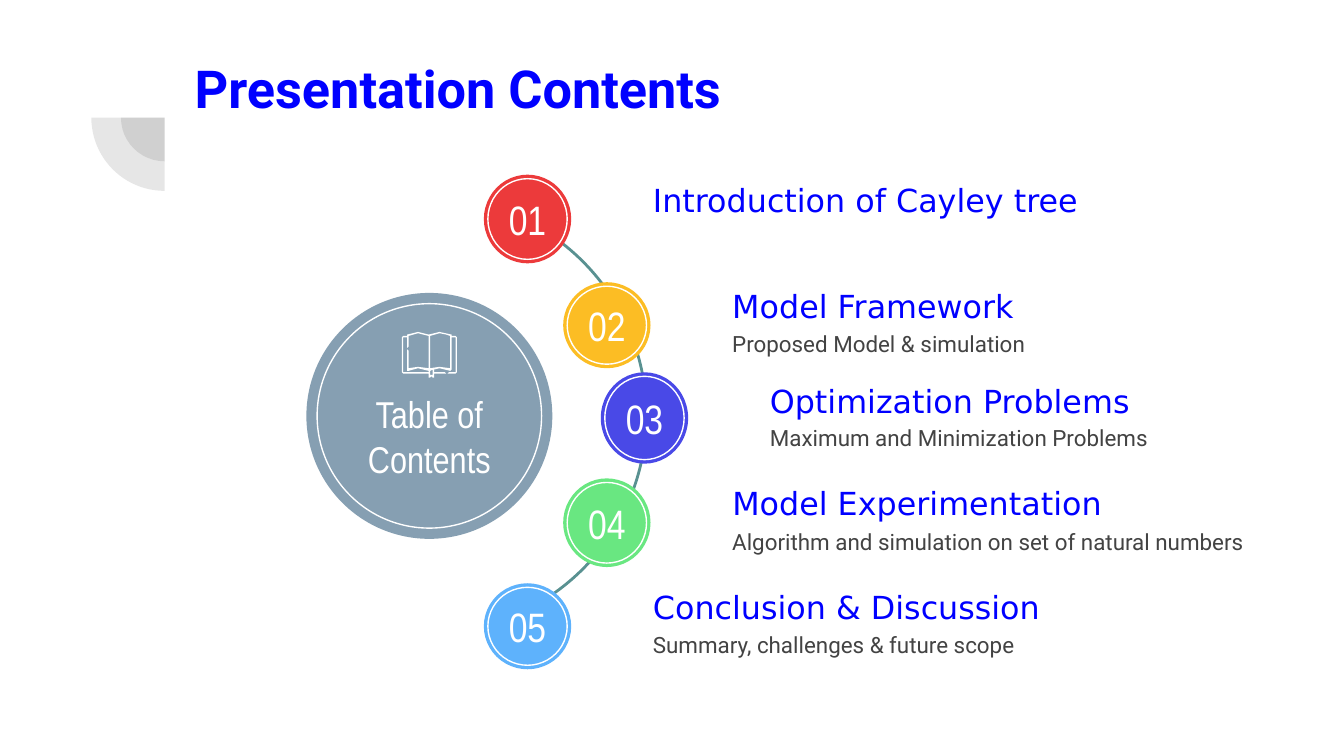
from dataclasses import dataclass
from typing import Optional

from lxml import etree
from pptx import Presentation
from pptx.dml.color import RGBColor
from pptx.enum.shapes import MSO_SHAPE
from pptx.enum.text import MSO_ANCHOR, PP_ALIGN
from pptx.oxml.ns import qn
from pptx.util import Inches, Pt

OVAL, PIE, ARC = MSO_SHAPE.OVAL, MSO_SHAPE.PIE, MSO_SHAPE.ARC
TOP, MIDDLE = MSO_ANCHOR.TOP, MSO_ANCHOR.MIDDLE
LEFT, CENTER = PP_ALIGN.LEFT, PP_ALIGN.CENTER


@dataclass(frozen=True)
class TextStyle:
    font: str
    size: float
    color: str
    bold: bool = False


@dataclass(frozen=True)
class Theme:
    white: str = "FFFFFF"
    hub: str = "869FB2"
    arc: str = "599191"
    corner: str = "424242"
    corner_alpha: int = 13
    ring_line: float = 0.75
    arc_line: float = 1.5
    title: TextStyle = TextStyle("Roboto", 28, "0000FF", True)
    heading: TextStyle = TextStyle("DejaVu Sans", 17, "0000FF")
    detail: TextStyle = TextStyle("Roboto", 12, "434343")
    number: TextStyle = TextStyle("Arial Narrow", 22, "FFFFFF")
    hub_label: TextStyle = TextStyle("Arial Narrow", 20, "FFFFFF")


@dataclass(frozen=True)
class Box:
    left: float
    top: float
    width: float
    height: float

    def inset(self, margin: float) -> "Box":
        return Box(self.left + margin, self.top + margin,
                   self.width - 2 * margin, self.height - 2 * margin)

    def emu(self) -> tuple:
        return tuple(Inches(v) for v in (self.left, self.top, self.width, self.height))


@dataclass(frozen=True)
class Topic:
    number: str
    color: str
    left: float
    top: float
    height: float
    heading: str
    heading_width: float
    detail: Optional[str] = None
    detail_width: float = 0
    heading_drop: float = -0.02


THEME = Theme()
BADGE_WIDTH, BADGE_MARGIN = 0.65, 0.03
TEXT_OFFSET = 1.16
TEXT_HEIGHT_SHARE, DETAIL_DROP_SHARE = 0.6, 0.41  # of the badge height
HUB = Box(2.28, 2.18, 1.83, 1.83)
TOPICS = [
    Topic("01", "EC3A3B", 3.6, 1.3, 0.66, "Introduction of Cayley tree", 3.61,
          heading_drop=-0.01),
    Topic("05", "5EB2FC", 3.6, 4.34, 0.64, "Conclusion & Discussion", 3.78,
          "Summary, challenges & future scope", 3.44),
    Topic("04", "69E781", 4.19, 3.56, 0.66, "Model Experimentation", 3.69,
          "Algorithm and simulation on set of natural numbers", 4.16),
    Topic("02", "FCBD24", 4.19, 2.1, 0.64, "Model Framework", 2.84,
          "Proposed Model & simulation", 2.84),
    Topic("03", "4949E7", 4.47, 2.77, 0.68, "Optimization Problems", 3.33,
          "Maximum and Minimization Problems", 3.18, heading_drop=0.01),
]
# Book outlines in hundredths of an inch
BOOK_COVER = [
    (327, 247), (319, 249), (311, 247), (303, 249), (303, 250), (300, 250),
    (299, 251), (299, 277), (300, 278), (319, 278), (319, 281), (320, 281),
    (321, 280), (322, 281), (323, 281), (323, 278), (332, 278), (331, 277),
    (323, 277), (323, 275), (327, 274), (335, 276), (336, 275), (336, 251),
    (339, 251), (339, 277), (334, 277), (333, 278), (339, 278), (340, 277),
    (340, 251), (339, 250), (336, 250), (336, 249),
]
BOOK_RIGHT_PAGE = [(327, 248), (332, 249), (335, 250), (335, 274), (327, 273),
                   (320, 274), (320, 250)]
BOOK_LEFT_PAGE = [
    (311, 248), (319, 250), (319, 274), (311, 273), (304, 274), (304, 261),
    (303, 260), (303, 276), (304, 276), (311, 274), (319, 276), (319, 277),
    (300, 277), (300, 251), (303, 251), (303, 259), (304, 258), (304, 250),
]
BOOK_MARK = [(322, 275), (322, 279), (321, 279), (320, 279), (320, 276)]


def paint(shape, fill: Optional[str] = None, line: Optional[str] = None,
          line_width: float = 0) -> None:
    shape.shadow.inherit = False
    if fill:
        shape.fill.solid()
        shape.fill.fore_color.rgb = RGBColor.from_string(fill)
    else:
        shape.fill.background()
    if line:
        shape.line.color.rgb = RGBColor.from_string(line)
        shape.line.width = Pt(line_width)
    else:
        shape.line.fill.background()


def add_preset(slide, preset, box: Box, **look):
    shape = slide.shapes.add_shape(preset, *box.emu())
    paint(shape, **look)
    return shape


def set_angles(shape, start: float, end: float) -> None:
    """Set start and end in degrees; one adjustment unit is 100000/60000 degree."""
    shape.adjustments[0] = start * 0.6
    shape.adjustments[1] = end * 0.6


def write(shape, lines: list[str], style: TextStyle, align=LEFT, anchor=MIDDLE,
          margin: float = 0.1, wrap: bool = True) -> None:
    frame = shape.text_frame
    frame.word_wrap = wrap
    frame.vertical_anchor = anchor
    frame.margin_left = frame.margin_right = Inches(margin)
    frame.margin_top = frame.margin_bottom = Inches(margin)
    paragraph = frame.paragraphs[0]
    paragraph.alignment = align
    for index, line in enumerate(lines):
        if index:
            paragraph.add_line_break()
        run = paragraph.add_run()
        run.text = line
        run.font.name = style.font
        run.font.size = Pt(style.size)
        run.font.bold = style.bold
        run.font.color.rgb = RGBColor.from_string(style.color)


def add_label(slide, box: Box, text: str, style: TextStyle, anchor=MIDDLE) -> None:
    write(slide.shapes.add_textbox(*box.emu()), [text], style, anchor=anchor)


def add_corner_pie(slide, box: Box) -> None:
    pie = add_preset(slide, PIE, box, fill=THEME.corner)
    set_angles(pie, 180, 270)
    pie.rotation = 270
    color = pie.fill._xPr.find(qn("a:solidFill"))[0]
    etree.SubElement(color, qn("a:alpha")).set("val", str(THEME.corner_alpha * 1000))


def add_ringed_disc(slide, box: Box, margin: float, color: str):
    """Draw a filled disc with a thin white ring inside, and return the ring."""
    add_preset(slide, OVAL, box, fill=color)
    return add_preset(slide, OVAL, box.inset(margin), line=THEME.white,
                      line_width=THEME.ring_line)


def add_book(slide) -> None:
    builder = slide.shapes.build_freeform(*BOOK_COVER[0], scale=Inches(0.01))
    builder.add_line_segments(BOOK_COVER[1:], close=True)
    for hole in (BOOK_RIGHT_PAGE, BOOK_LEFT_PAGE, BOOK_MARK):
        builder.move_to(*hole[0])
        builder.add_line_segments(hole[1:], close=True)
    paint(builder.convert_to_shape(), fill=THEME.white)


def add_hub(slide) -> None:
    arc = add_preset(slide, ARC, Box(1.57, 1.47, 3.24, 3.24), line=THEME.arc,
                     line_width=THEME.arc_line)
    set_angles(arc, 296.9, 64.1)
    ring = add_ringed_disc(slide, HUB, 0.08, THEME.hub)
    write(ring, ["Table of", "Contents"], THEME.hub_label, CENTER, wrap=False)
    ring.text_frame.margin_top = Inches(0.4)
    add_book(slide)


def add_topic(slide, topic: Topic) -> None:
    badge = Box(topic.left, topic.top, BADGE_WIDTH, topic.height)
    ring = add_ringed_disc(slide, badge, BADGE_MARGIN, topic.color)
    write(ring, [topic.number], THEME.number, CENTER, margin=0, wrap=False)
    text_left = topic.left + TEXT_OFFSET
    text_height = topic.height * TEXT_HEIGHT_SHARE
    if topic.detail:
        detail_top = topic.top + topic.height * DETAIL_DROP_SHARE
        add_label(slide, Box(text_left, detail_top, topic.detail_width, text_height),
                  topic.detail, THEME.detail)
    add_label(slide, Box(text_left, topic.top + topic.heading_drop, topic.heading_width,
                         text_height), topic.heading, THEME.heading)


def main() -> None:
    deck = Presentation()
    deck.slide_width = Inches(10)
    deck.slide_height = deck.slide_width * 9 // 16
    slide = deck.slides.add_slide(deck.slide_layouts[6])
    outer_pie = Box(0.68, 0.33, 1.09, 1.09)
    for pie in (outer_pie.inset(0.22), outer_pie):
        add_corner_pie(slide, pie)
    add_hub(slide)
    add_label(slide, Box(1.35, 0.32, 7.69, 1.09), "Presentation Contents",
              THEME.title, TOP)
    for topic in TOPICS:
        add_topic(slide, topic)
    deck.save("out.pptx")


if __name__ == "__main__":
    main()
